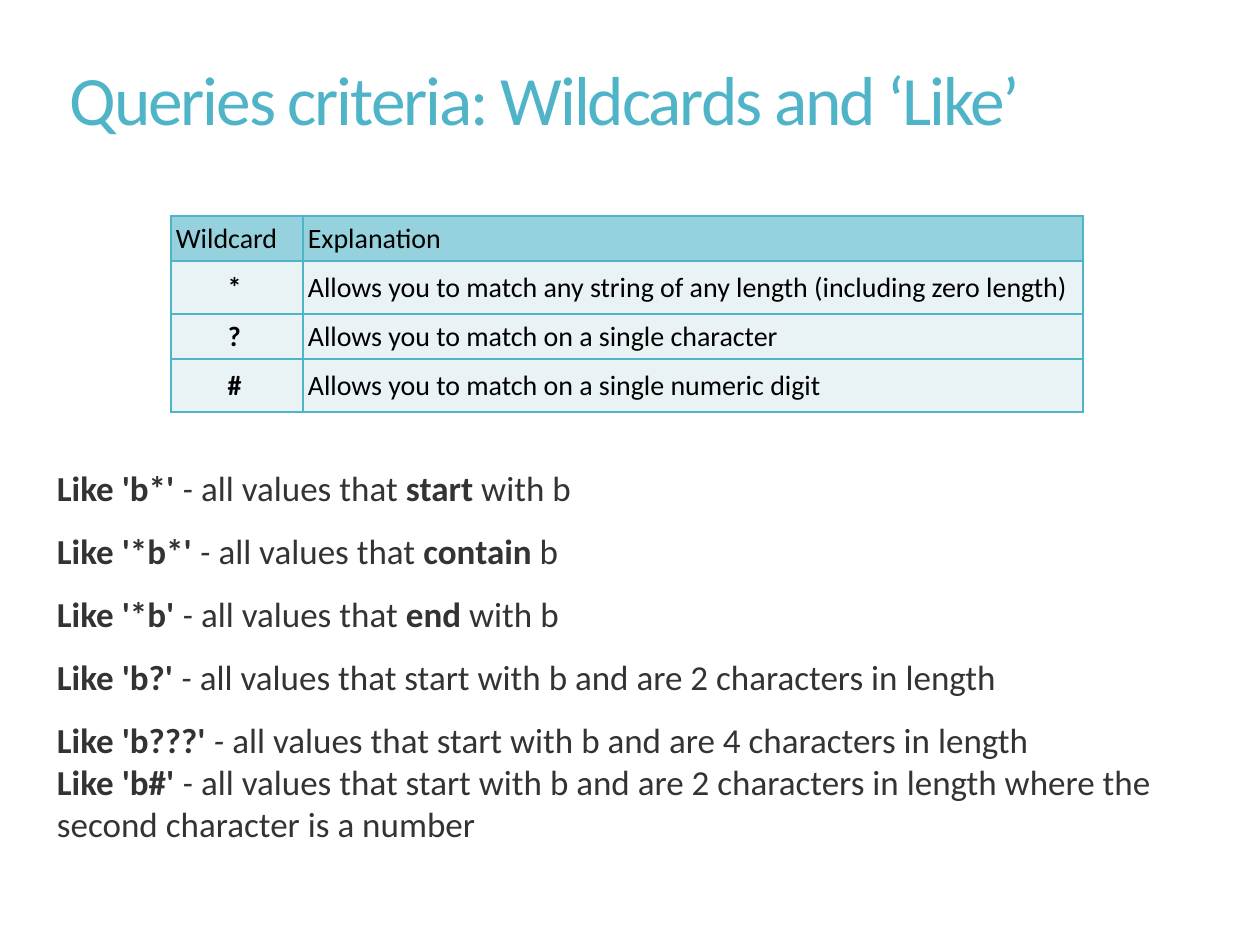
import pptx
import pptx.util
import pptx.dml.color
import pptx.enum.text
import pptx.oxml
import pptx.oxml.ns
import lxml.etree

EMU_PER_PIXEL = 914400 // 126
FONT = "Calibri"
COLORS = {
    "accent": "50B4C8",
    "header": "96D2DE",
    "row": "E9F2F5",
    "cell_text": "000000",
    "body": "333333",
}
WILDCARDS = [
    ("Wildcard", "Explanation"),
    ("*", "Allows you to match any string of any length (including zero length)"),
    ("?", "Allows you to match on a single character"),
    ("#", "Allows you to match on a single numeric digit"),
]
EXAMPLES = [
    ("b*", "all values that ", "start", " with b"),
    ("*b*", "all values that ", "contain", " b"),
    ("*b", "all values that ", "end", " with b"),
    ("b?", "all values that start with b and are 2 characters in length"),
    ("b???", "all values that start with b and are 4 characters in length"),
    ("b#", "all values that start with b and are 2 characters in length "
           "where the second character is a number"),
]
MIDDLE = pptx.enum.text.MSO_ANCHOR.MIDDLE
ALIGN = pptx.enum.text.PP_ALIGN


def px(length):
    return pptx.util.Emu(length * EMU_PER_PIXEL)


def rgb(name):
    return pptx.dml.color.RGBColor.from_string(COLORS[name])


def add_text(paragraph, text, size, color, bold=False, italic=False, spacing=None):
    run = paragraph.add_run()
    run.text = text
    run.font.name = FONT
    run.font.size = pptx.util.Pt(size)
    run.font.color.rgb = rgb(color)
    run.font.bold = bold
    run.font.italic = italic
    if spacing is not None:
        run.font._element.set("spc", str(round(spacing * 100)))


def place_title(slide, left, top, width, height):
    title = slide.shapes.title
    title.left, title.top, title.width, title.height = map(px, (left, top, width, height))
    frame = title.text_frame
    frame.word_wrap = True
    frame.auto_size = pptx.enum.text.MSO_AUTO_SIZE.NONE
    frame.vertical_anchor = MIDDLE
    heading = frame.paragraphs[0]
    heading.alignment = ALIGN.LEFT
    heading.line_spacing = 0.9
    add_text(heading, "Queries criteria: Wildcards and ‘Like’",
             size=39.6, color="accent", spacing=-1.2)


def set_borders(cell):
    properties = cell._tc.get_or_add_tcPr()
    for position, side in enumerate(("lnL", "lnR", "lnT", "lnB")):
        border = lxml.etree.fromstring(
            f'<a:{side} {pptx.oxml.ns.nsdecls("a")} w="12700"><a:solidFill>'
            f'<a:srgbClr val="{COLORS["accent"]}"/></a:solidFill></a:{side}>')
        properties.insert(position, border)


def add_wildcard_table(slide, left, top, width, height):
    wildcards = slide.shapes.add_table(
        len(WILDCARDS), 2, px(left), px(top), px(width), px(height)).table
    symbol_width = 132
    wildcards.columns[0].width = px(symbol_width)
    wildcards.columns[1].width = px(width - symbol_width)
    short_row = 45
    tall_row = height // 2 - short_row
    for row, entries in enumerate(WILDCARDS):
        wildcards.rows[row].height = px(tall_row if row % 2 else short_row)
        for column, entry in enumerate(entries):
            cell = wildcards.cell(row, column)
            is_symbol = row > 0 and column == 0
            cell.fill.solid()
            cell.fill.fore_color.rgb = rgb("row" if row else "header")
            cell.vertical_anchor = MIDDLE
            cell.margin_left = cell.margin_top = cell.margin_bottom = px(5)
            cell.margin_right = px(10)
            set_borders(cell)
            paragraph = cell.text_frame.paragraphs[0]
            paragraph.alignment = ALIGN.CENTER if is_symbol else ALIGN.LEFT
            add_text(paragraph, entry, size=16, color="cell_text", bold=is_symbol)


def add_examples(slide, left, top, width, height):
    frame = slide.shapes.add_textbox(px(left), px(top), px(width), px(height)).text_frame
    frame.word_wrap = True
    frame.vertical_anchor = MIDDLE
    frame.margin_left = frame.margin_top = frame.margin_right = 0
    frame.margin_bottom = px(92)
    for index, (pattern, *meaning) in enumerate(EXAMPLES):
        example = frame.add_paragraph() if index else frame.paragraphs[0]
        example.line_spacing = 1.5 if index < len(EXAMPLES) - 1 else 1.0
        add_text(example, f"Like '{pattern}' ", size=20, color="body", bold=True)
        add_text(example, "-", size=20, color="body", italic=True)
        for part, words in enumerate(meaning):
            lead = "" if part else " "
            add_text(example, lead + words, size=20, color="body", bold=part == 1)


def build_wildcard_slide(deck):
    slide = deck.slides.add_slide(deck.slide_layouts[5])
    place_title(slide, 57, 38, 1114, 130)
    add_wildcard_table(slide, 171, 216, 912, 196)
    add_examples(slide, 57, 444, 1125, 495)


deck = pptx.Presentation()
deck.slide_width, deck.slide_height = px(1260), px(945)
build_wildcard_slide(deck)
deck.save("out.pptx")
